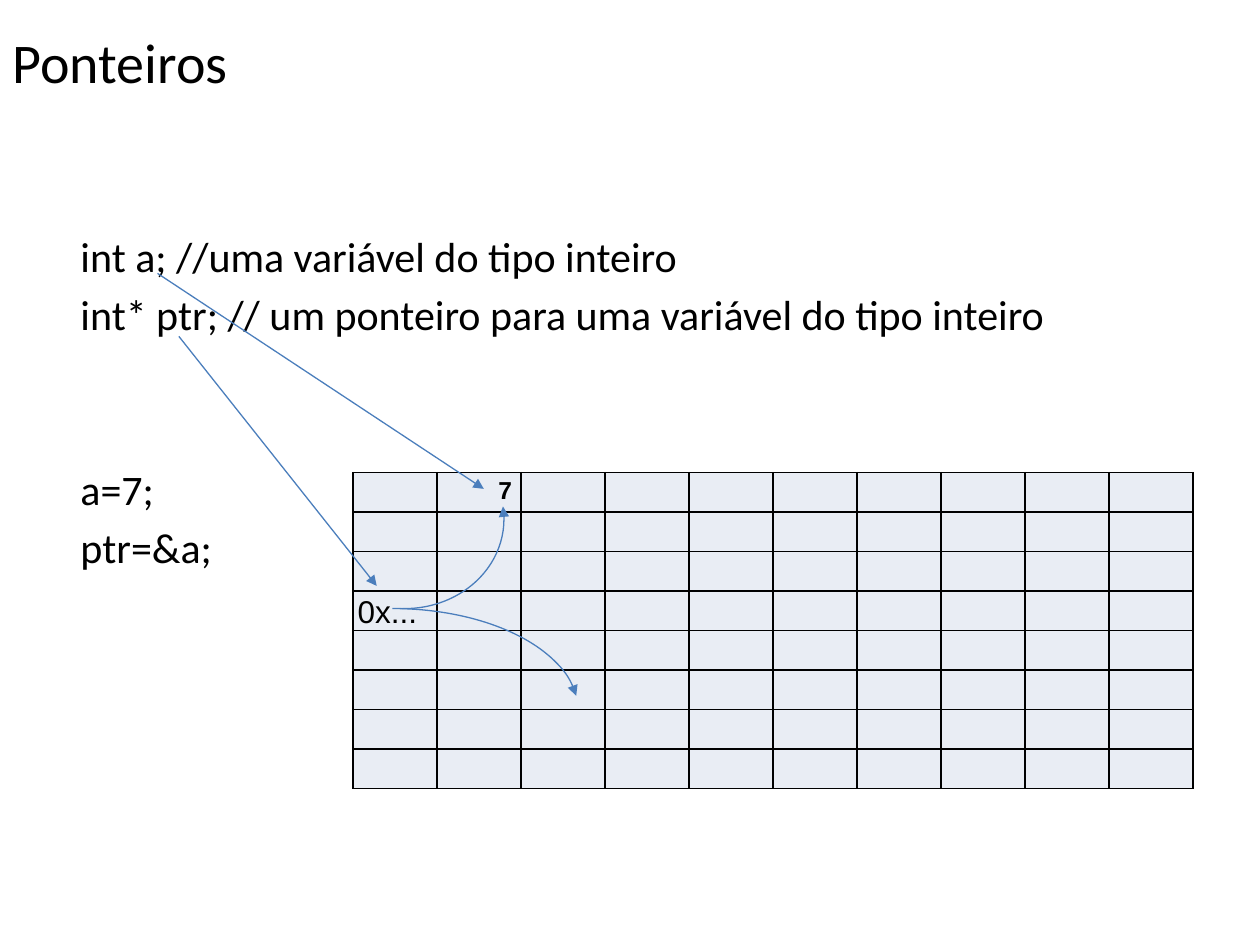
from dataclasses import dataclass
from typing import NamedTuple

from lxml.etree import SubElement
from pptx import Presentation
from pptx.dml.color import RGBColor
from pptx.enum.shapes import MSO_CONNECTOR, MSO_SHAPE
from pptx.enum.text import MSO_AUTO_SIZE, PP_ALIGN
from pptx.oxml.ns import qn
from pptx.util import Emu, Inches, Pt


@dataclass(frozen=True)
class Theme:
    ink: RGBColor = RGBColor(0x00, 0x00, 0x00)
    cell: RGBColor = RGBColor(0xE9, 0xED, 0xF4)
    arrow: RGBColor = RGBColor(0x4B, 0x7E, 0xBC)
    prose: str = "Calibri"
    data: str = "Arial"
    title_size: float = 32
    code_size: float = 24
    address_size: float = 18
    value_size: float = 14
    arrow_width: float = 0.75
    border_width: float = 1


class Box(NamedTuple):
    col: float
    row: float
    cols: float
    rows: float


class CodeLine(NamedTuple):
    text: str
    space_before: float


class Pointer(NamedTuple):
    start: tuple[float, float]
    end: tuple[float, float]


class Curve(NamedTuple):
    box: Box
    start_angle: float
    end_angle: float
    arrow_end: str


THEME = Theme()
SLIDE_WIDTH, SLIDE_HEIGHT = Inches(10), Inches(7.5)
GRID_COLUMNS = 100
MEMORY_ROWS, MEMORY_COLUMNS = 8, 10
VALUE_CELL = (0, 1)

TITLE = Box(0, 1.7, 19.3, 6.4)
CODE = Box(5.4, 17.8, 92.2, 39.5)
MEMORY = Box(28, 37.5, 66.7, 24.96)
ADDRESS = Box(27.4, 46.5, 6.8, 4)

CODE_LINES = [
    CodeLine("int a; //uma variável do tipo inteiro", 0),
    CodeLine("int* ptr; // um ponteiro para uma variável do tipo inteiro", 4.3),
    CodeLine("a=7;", 71.4),
    CodeLine("ptr=&a;", 4.3),
]
POINTERS = [
    Pointer((12.5, 21.7), (38.4, 38.8)),
    Pointer((14.2, 26.7), (29.9, 46.5)),
]
CURVES = [
    Curve(Box(24.3, 34.1, 15.7, 14.2), 352.66, 91.79, "headEnd"),
    Curve(Box(16.4, 48.3, 29.5, 16.3), 270, 355.18, "tailEnd"),
]


def grid(units: float) -> Emu:
    return Emu(round(units * SLIDE_WIDTH / GRID_COLUMNS))


def place(box: Box) -> list[Emu]:
    return [grid(units) for units in box]


def add_run(paragraph, text: str, font: str, size: float, bold: bool = False) -> None:
    run = paragraph.add_run()
    run.text = text
    run.font.name = font
    run.font.size = Pt(size)
    run.font.bold = bold
    run.font.color.rgb = THEME.ink


def add_label(slide, box: Box, text: str, font: str, size: float) -> None:
    frame = slide.shapes.add_textbox(*place(box)).text_frame
    frame.word_wrap = False
    frame.auto_size = MSO_AUTO_SIZE.SHAPE_TO_FIT_TEXT
    add_run(frame.paragraphs[0], text, font, size)


def add_code(slide, box: Box, lines: list[CodeLine]) -> None:
    frame = slide.shapes.add_textbox(*place(box)).text_frame
    frame.word_wrap = True
    for index, line in enumerate(lines):
        paragraph = frame.add_paragraph() if index else frame.paragraphs[0]
        paragraph.space_before = Pt(line.space_before)
        add_run(paragraph, line.text, THEME.prose, THEME.code_size)


def style_cell(cell) -> None:
    cell.margin_left = cell.margin_right = Inches(0.07)
    cell.margin_top = cell.margin_bottom = Inches(0.04)
    properties = cell._tc.get_or_add_tcPr()
    for side in ("lnL", "lnR", "lnT", "lnB"):
        border = SubElement(properties, qn(f"a:{side}"), w=str(Pt(THEME.border_width)))
        paint = SubElement(border, qn("a:solidFill"))
        SubElement(paint, qn("a:srgbClr"), val=str(THEME.ink))
    cell.fill.solid()
    cell.fill.fore_color.rgb = THEME.cell


def add_memory(slide, box: Box) -> None:
    table = slide.shapes.add_table(MEMORY_ROWS, MEMORY_COLUMNS, *place(box)).table
    for column in table.columns:
        column.width = grid(box.cols / MEMORY_COLUMNS)
    for row in table.rows:
        row.height = grid(box.rows / MEMORY_ROWS)
    for cell in table.iter_cells():
        style_cell(cell)
        SubElement(cell.text_frame.paragraphs[0]._p, qn("a:endParaRPr"),
                   sz=str(round(THEME.value_size * 100)))
    value = table.cell(*VALUE_CELL).text_frame.paragraphs[0]
    value.alignment = PP_ALIGN.RIGHT
    add_run(value, "7", THEME.data, THEME.value_size, bold=True)


def style_arrow(stroke, arrow_end: str) -> None:
    stroke.line.color.rgb = THEME.arrow
    stroke.line.width = Pt(THEME.arrow_width)
    SubElement(stroke.line._get_or_add_ln(), qn(f"a:{arrow_end}"), type="triangle")


def add_pointer(slide, pointer: Pointer) -> None:
    ends = [grid(units) for units in pointer.start + pointer.end]
    connector = slide.shapes.add_connector(MSO_CONNECTOR.STRAIGHT, *ends)
    style_arrow(connector, "tailEnd")
    SubElement(connector._element.spPr, qn("a:effectLst"))


def add_curve(slide, curve: Curve) -> None:
    arc = slide.shapes.add_shape(MSO_SHAPE.ARC, *place(curve.box))
    arc.shadow.inherit = False
    arc.fill.background()
    for index, angle in enumerate((curve.start_angle, curve.end_angle)):
        arc.adjustments[index] = angle * 0.6
    style_arrow(arc, curve.arrow_end)


def main() -> None:
    presentation = Presentation()
    presentation.slide_width = SLIDE_WIDTH
    presentation.slide_height = SLIDE_HEIGHT
    slide = presentation.slides.add_slide(presentation.slide_layouts[6])
    add_code(slide, CODE, CODE_LINES)
    add_memory(slide, MEMORY)
    add_label(slide, TITLE, "Ponteiros", THEME.prose, THEME.title_size)
    add_label(slide, ADDRESS, "0x...", THEME.data, THEME.address_size)
    for pointer in POINTERS:
        add_pointer(slide, pointer)
    for curve in CURVES:
        add_curve(slide, curve)
    presentation.save("out.pptx")


if __name__ == "__main__":
    main()
